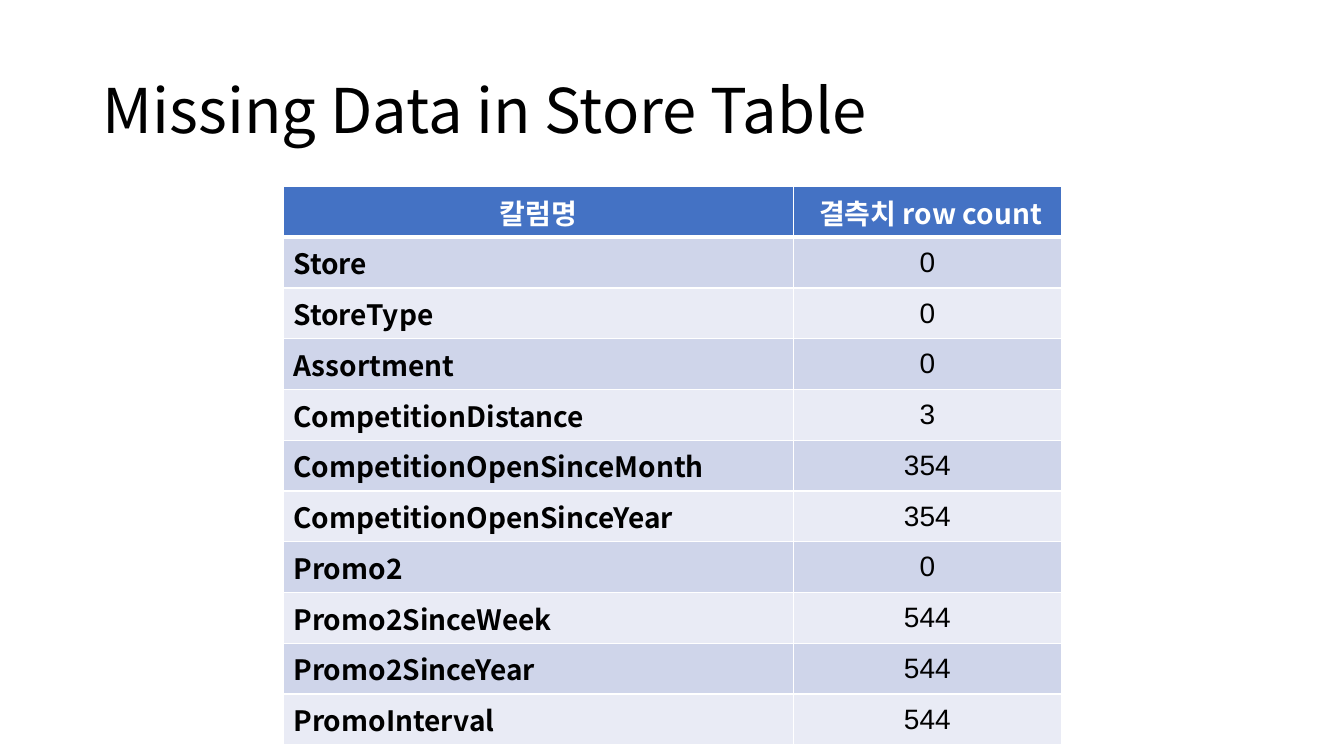
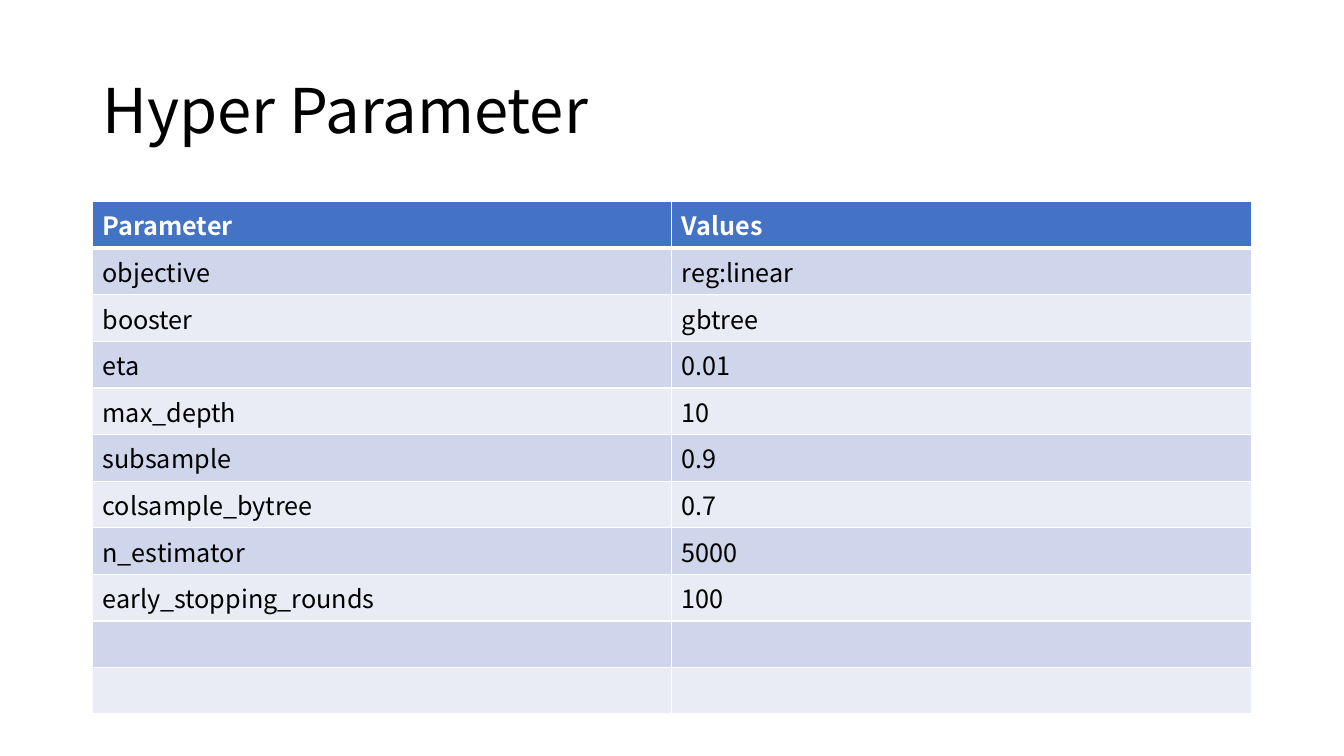
"""Build two slides, each with a title and a banded table."""
from lxml.etree import SubElement
from pptx import Presentation
from pptx.dml.color import RGBColor
from pptx.enum.text import MSO_ANCHOR, PP_ALIGN
from pptx.oxml.ns import qn
from pptx.text.text import Font
from pptx.util import Cm, Pt

COLORS = {"head": "4472C4", "odd": "CFD5EA", "even": "E9EBF5",
          "line": "FFFFFF", "light": "FFFFFF", "dark": "000000"}
SANS, ARIAL = "Noto Sans CJK KR", "Arial"
LEFT, CENTER = PP_ALIGN.LEFT, PP_ALIGN.CENTER
TITLE = {"left": Cm(2.33), "top": Cm(1.01), "width": Cm(29.21), "height": Cm(3.68)}
ROW = Cm(1.03)

SLIDES = [
    {
        "title": "Missing Data in Store Table",
        "at": (7.14, 4.7), "cols": (12.85, 6.76), "size": 20,
        "head": (CENTER, CENTER),
        "body": ((SANS, True, LEFT), (ARIAL, False, CENTER)),
        "anchor": MSO_ANCHOR.MIDDLE,
        "rows": [
            ("칼럼명", " 결측치 row count"),
            ("Store", "0"),
            ("StoreType", "0"),
            ("Assortment", "0"),
            ("CompetitionDistance", "3"),
            ("CompetitionOpenSinceMonth", "354"),
            ("CompetitionOpenSinceYear", "354"),
            ("Promo2", "0"),
            ("Promo2SinceWeek", "544"),
            ("Promo2SinceYear", "544"),
            ("PromoInterval", "544"),
        ],
    },
    {
        "title": "Hyper Parameter",
        "at": (2.33, 5.08), "cols": (14.6, 14.6), "size": 18,
        "head": (LEFT, LEFT),
        "body": ((SANS, False, LEFT), (SANS, False, LEFT)),
        "anchor": MSO_ANCHOR.TOP,
        "rows": [
            ("Parameter", "Values"),
            ("objective", "reg:linear"),
            ("booster", "gbtree"),
            ("eta", "0.01"),
            ("max_depth", "10"),
            ("subsample", "0.9"),
            ("colsample_bytree", "0.7"),
            ("n_estimator", "5000"),
            ("early_stopping_rounds", "100"),
            ("", ""),
            ("", ""),
        ],
    },
]


def apply(item, values):
    for key, value in values.items():
        setattr(item, key, value)


def rgb(name):
    return RGBColor.from_string(COLORS[name])


def write(para, text, face, size, bold, color, align):
    para.alignment = align
    if text:
        run = para.add_run()
        run.text = text
        props = run._r.get_or_add_rPr()
    else:
        props = para._p.get_or_add_endParaRPr()
    font = Font(props)
    apply(font, {"size": Pt(size), "bold": bold, "name": face})
    font.color.rgb = rgb(color)
    SubElement(props, qn("a:ea"), typeface=face)


def border(cell, row):
    props = cell._tc.get_or_add_tcPr()
    for side in "LRTB":
        thick = (row, side) in ((0, "B"), (1, "T"))
        line = SubElement(props, qn(f"a:ln{side}"), w=str(Pt(3 if thick else 1)))
        fill = SubElement(line, qn("a:solidFill"))
        SubElement(fill, qn("a:srgbClr"), val=COLORS["line"])


def add_title(slide, text):
    title = slide.shapes.title
    apply(title, TITLE)
    title.text_frame.vertical_anchor = MSO_ANCHOR.MIDDLE
    para = title.text_frame.paragraphs[0]
    para.line_spacing = 0.9
    write(para, text, SANS, 44, False, "dark", LEFT)


def add_grid(slide, data):
    rows, cols = data["rows"], data["cols"]
    left, top = data["at"]
    grid = slide.shapes.add_table(len(rows), len(cols), Cm(left), Cm(top),
                                  Cm(sum(cols)), ROW * len(rows)).table
    for col, width in zip(grid.columns, cols):
        col.width = Cm(width)
    for i, texts in enumerate(rows):
        grid.rows[i].height = ROW
        band = "head" if i == 0 else "odd" if i % 2 else "even"
        for j, text in enumerate(texts):
            cell = grid.cell(i, j)
            border(cell, i)
            cell.fill.solid()
            cell.fill.fore_color.rgb = rgb(band)
            cell.vertical_anchor = data["anchor"]
            face, bold, align = data["body"][j] if i else (SANS, True, data["head"][j])
            write(cell.text_frame.paragraphs[0], text, face, data["size"], bold,
                  "dark" if i else "light", align)


def main():
    deck = Presentation()
    apply(deck, {"slide_width": Cm(33.87), "slide_height": Cm(19.05)})
    for data in SLIDES:
        slide = deck.slides.add_slide(deck.slide_layouts[5])
        add_title(slide, data["title"])
        add_grid(slide, data)
    deck.save("out.pptx")


if __name__ == "__main__":
    main()
